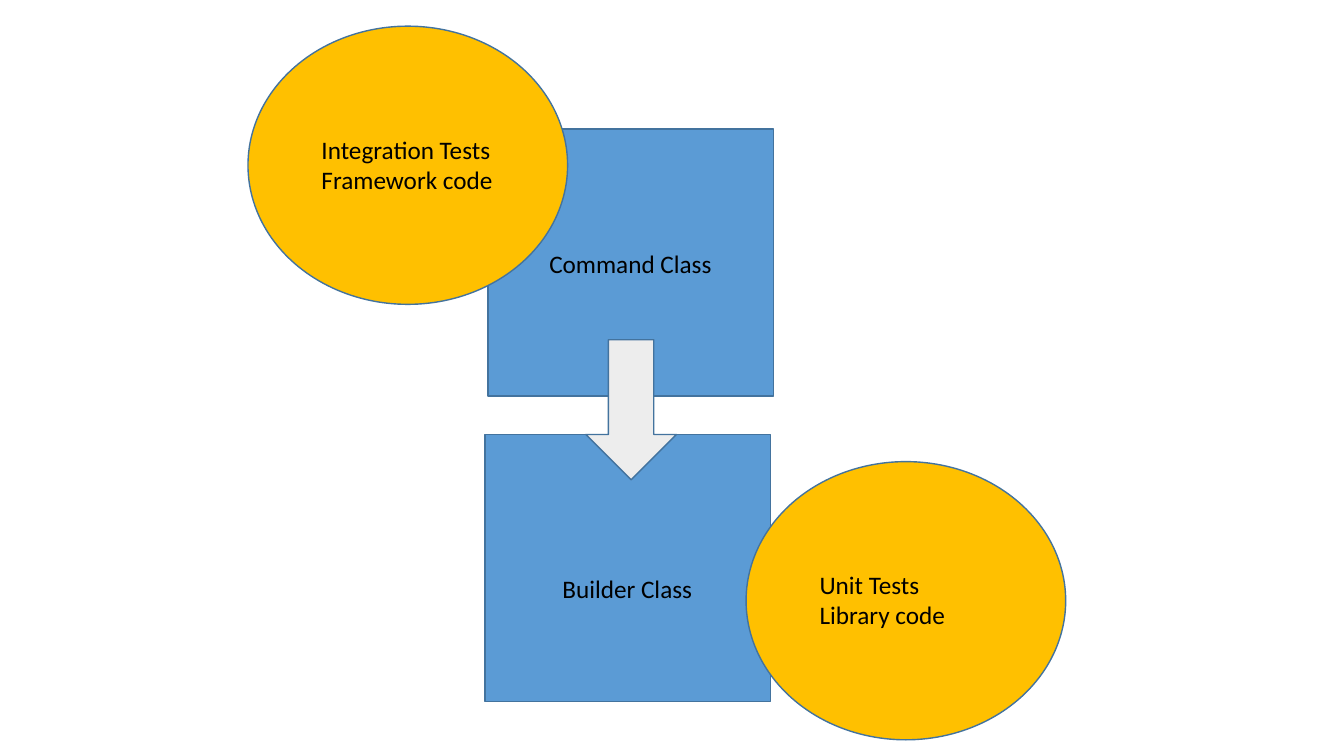
from dataclasses import dataclass

from pptx import Presentation
from pptx.dml.color import RGBColor as RGB
from pptx.enum.shapes import MSO_SHAPE as SHAPE
from pptx.enum.text import MSO_AUTO_SIZE as FIT
from pptx.util import Inches, Pt


@dataclass(frozen=True)
class Theme:
    box: str = "5B9BD5"
    tests: str = "FFC000"
    arrow: str = "EDEDED"
    outline: str = "43739E"
    text: str = "000000"
    font: str = "Calibri"
    size: int = 18
    line: int = 1


T = Theme()

# Content: kind, left, top, then label lines with label left, top, width
PARTS = [
    ("class", 4.84, 1.28, ["Command Class"], (5.35, 2.41, 1.83)),
    ("class", 4.81, 4.31, ["Builder Class"], (5.48, 5.64, 1.5)),
    ("arrow", 5.81, 3.37, [], None),
    ("tests", 2.46, 0.26, ["Integration Tests", "Framework code"], (3.09, 1.28, 1.92)),
    ("tests", 7.4, 4.58, ["Unit Tests", "Library code"], (8.03, 5.6, 1.46)),
]

# Kind: preset shape, width, height, fill
KINDS = {
    "class": (SHAPE.RECTANGLE, 2.83, 2.65, T.box),
    "arrow": (SHAPE.DOWN_ARROW, 0.9, 1.39, T.arrow),
    "tests": (SHAPE.OVAL, 3.17, 2.76, T.tests),
}
LINE_HEIGHT, PADDING = 0.3, 0.1


def add_part(s, kind, left, top):
    preset, width, height, fill = KINDS[kind]
    sp = s.shapes.add_shape(preset, *map(Inches, (left, top, width, height)))
    sp.shadow.inherit = False
    sp.fill.solid()
    sp.fill.fore_color.rgb = RGB.from_string(fill)
    sp.line.color.rgb = RGB.from_string(T.outline)
    sp.line.width = Pt(T.line)


def add_label(s, lines, left, top, width):
    height = LINE_HEIGHT * len(lines) + PADDING
    tf = s.shapes.add_textbox(*map(Inches, (left, top, width, height))).text_frame
    tf.word_wrap = False
    tf.auto_size = FIT.SHAPE_TO_FIT_TEXT
    tf.text = "\n".join(lines)
    for p in tf.paragraphs:
        p.font.name = T.font
        p.font.size = Pt(T.size)
        p.font.color.rgb = RGB.from_string(T.text)


def main():
    prs = Presentation()
    prs.slide_width, prs.slide_height = Inches(13.33), Inches(7.5)
    s = prs.slides.add_slide(prs.slide_layouts[6])

    # Shapes from back to front, each followed by its label
    for kind, left, top, lines, place in PARTS:
        add_part(s, kind, left, top)
        if lines:
            add_label(s, lines, *place)

    prs.save("out.pptx")


if __name__ == "__main__":
    main()
